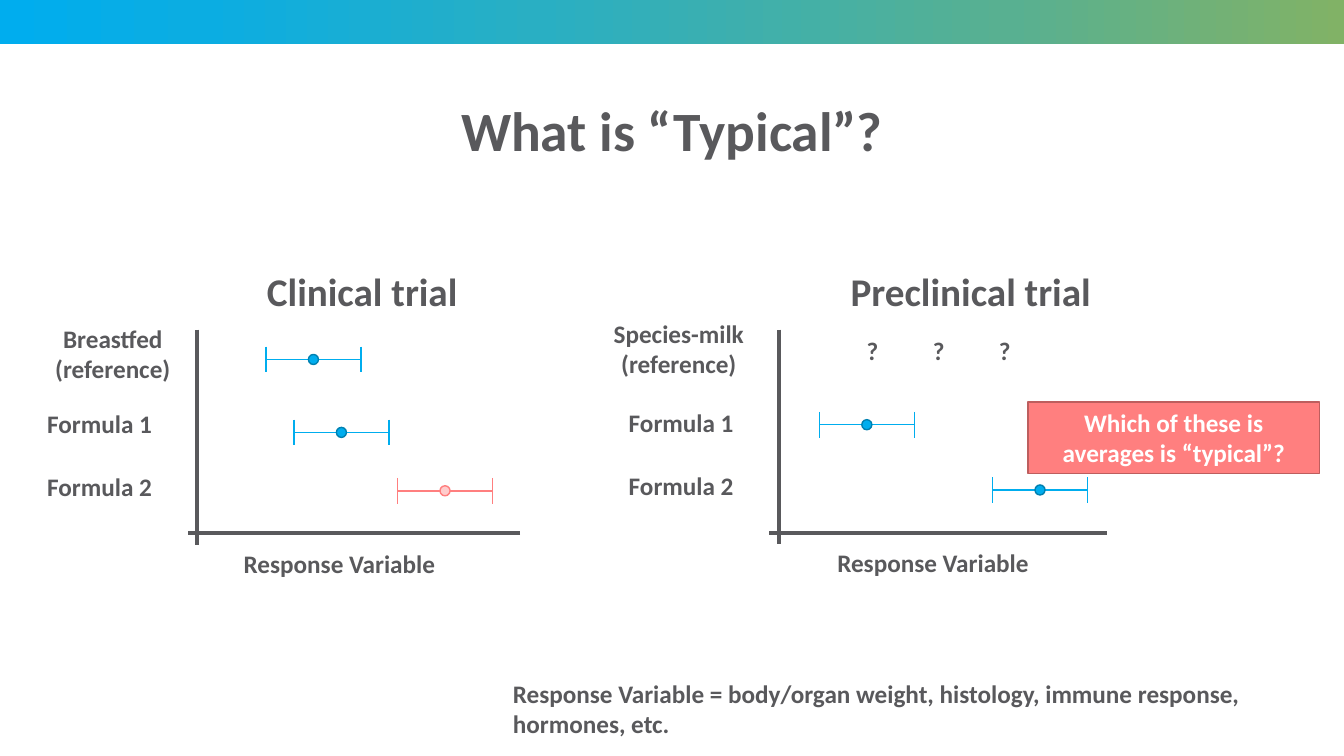
from lxml import etree
from pptx import Presentation
from pptx import util as u
from pptx.dml.color import RGBColor
from pptx.enum import shapes, text
from pptx.oxml.ns import qn

Pt = u.Pt
GREY, BLUE, DARK_BLUE, PINK = "59595C", "00ADEE", "0080B0", "FF7F7F"
CENTER, LEFT = text.PP_ALIGN.CENTER, text.PP_ALIGN.LEFT


def paint(color_format, value):
    color_format.rgb = RGBColor.from_string(value)


def write(shape, words, size=18, color=GREY, align=LEFT, wrap=False):
    frame = shape.text_frame
    frame.word_wrap = wrap
    frame.text = words
    paragraph = frame.paragraphs[0]
    paragraph.alignment = align
    font = paragraph.runs[0].font
    font.name, font.size, font.bold = "Calibri", Pt(size), True
    paint(font.color, color)
    return frame


prs = Presentation()
prs.slide_width, prs.slide_height = Pt(960), Pt(540)
slide = prs.slides.add_slide(prs.slide_layouts[6])

band = slide.shapes.add_shape(shapes.MSO_SHAPE.RECTANGLE, 0, Pt(-0.7), Pt(960), Pt(32.2))
band.shadow.inherit = False
band.line.fill.background()
band.fill.gradient()
band.fill.gradient_angle = 0
stops = band._element.spPr.find(qn("a:gradFill")).find(qn("a:gsLst"))
for stop in list(stops):
    stops.remove(stop)
for percent, color in [(0, BLUE), (15, "0BADE2"), (40, "29AFC3"), (75, "58B091"), (100, "81B266")]:
    stop = etree.SubElement(stops, qn("a:gs"), pos=str(percent * 1000))
    etree.SubElement(stop, qn("a:srgbClr"), val=color)

headline = slide.shapes.add_textbox(Pt(49), Pt(72), Pt(862), Pt(46.8))
frame = write(headline, "What is “Typical”?", 39.6, align=CENTER, wrap=True)
frame.vertical_anchor = text.MSO_ANCHOR.MIDDLE
frame.paragraphs[0].line_spacing = 0.9

callout = slide.shapes.add_shape(shapes.MSO_SHAPE.RECTANGLE, Pt(734.4), Pt(287.1), Pt(208), Pt(51))
callout.shadow.inherit = False
callout.fill.solid()
paint(callout.fill.fore_color, PINK)
paint(callout.line.color, "BD5E5E")
callout.line.width = Pt(1)
write(callout, "Which of these is averages is “typical”?", color="FFFFFF", align=CENTER, wrap=True)

definition = slide.shapes.add_textbox(Pt(359.3), Pt(481), Pt(558.7), Pt(51))
write(definition, "Response Variable = body/organ weight, histology, immune response, hormones, etc.", wrap=True)

trials = [
    dict(
        axes=[(141, 235.4, 141, 389.5), (371.5, 381, 134, 381)],
        reference=("Breastfed (reference)", 26.6, 227.5, 108),
        labels=[("Clinical trial", 28, 183.6, 187.2, 152.6),
                ("Formula 1", 18, 26.6, 288, 90),
                ("Formula 2", 18, 26.6, 333, 90),
                ("Response Variable", 18, 167, 388, 152)],
        intervals=[(190, 256.8, BLUE, BLUE, DARK_BLUE),
                   (210, 308.9, BLUE, BLUE, DARK_BLUE),
                   (284, 350.6, PINK, "FFCCCC", PINK)],
    ),
    dict(
        axes=[(556.5, 235.4, 556.5, 388.8), (790.6, 380.7, 549.4, 380.7)],
        reference=("Species-milk (reference)", 419, 224, 131.8),
        labels=[("Preclinical trial", 28, 600.5, 187.6, 188.6),
                ("Formula 1", 18, 442, 287.5, 90),
                ("Formula 2", 18, 442, 332.6, 90),
                ("Response Variable", 18, 591, 387.4, 152)]
               + [("?", 18, 612 + 47.2 * i, 236.2, 23) for i in range(3)],
        intervals=[(585.3, 303.4, BLUE, BLUE, DARK_BLUE),
                   (709, 350, BLUE, BLUE, DARK_BLUE)],
    ),
]
SPAN, CAP, DOT = 67.8, 9.2, 7.2

for trial in trials:
    plot = slide.shapes.add_group_shape().shapes

    words, left, top, width = trial["reference"]
    write(plot.add_textbox(Pt(left), Pt(top), Pt(width), Pt(51)), words, align=CENTER, wrap=True)
    for words, size, left, top, width in trial["labels"]:
        label = plot.add_textbox(Pt(left), Pt(top), Pt(width), Pt(41 if size == 28 else 29))
        write(label, words, size)

    strokes = [(ends, GREY, 3) for ends in trial["axes"]]
    for left, y, color, _, _ in trial["intervals"]:
        strokes.append(((left, y, left + SPAN, y), color, 1))
        strokes += [((x, y - CAP, x, y + CAP), color, 1) for x in (left, left + SPAN)]
    for ends, color, weight in strokes:
        stroke = plot.add_connector(shapes.MSO_CONNECTOR.STRAIGHT, *[Pt(v) for v in ends])
        paint(stroke.line.color, color)
        stroke.line.width = Pt(weight)
        etree.SubElement(stroke._element.spPr, qn("a:effectLst"))

    for left, y, _, fill, outline in trial["intervals"]:
        mean = plot.add_shape(shapes.MSO_SHAPE.OVAL, Pt(left + (SPAN - DOT) / 2), Pt(y - DOT / 2),
                              Pt(DOT), Pt(DOT))
        mean.shadow.inherit = False
        mean.fill.solid()
        paint(mean.fill.fore_color, fill)
        paint(mean.line.color, outline)
        mean.line.width = Pt(1)

prs.save("out.pptx")
